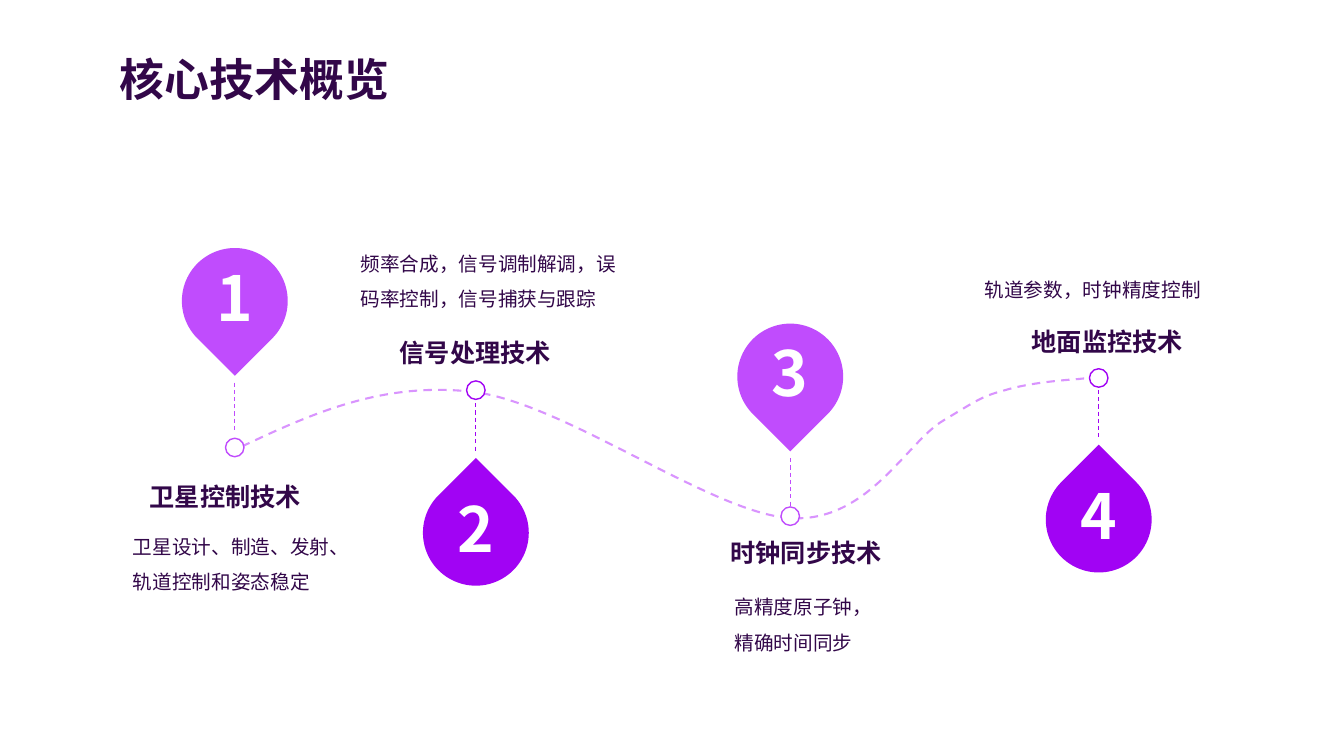
from dataclasses import dataclass

import lxml.etree
import pptx
import pptx.dml.color
import pptx.enum.dml
import pptx.enum.shapes
import pptx.enum.text
import pptx.oxml.ns
import pptx.util

WIDTH, HEIGHT = pptx.util.Inches(13.333), pptx.util.Inches(7.5)
UNIT = HEIGHT / 36  # square grid: 64 columns by 36 rows
FONT = "Noto Sans CJK SC"
INK = {"text": "320749", "light": "C04CFD", "deep": "A103F4",
       "path": "D994FE", "white": "FFFFFF"}
PIN, RING, DIGIT = 5.04, 0.88, 3.79
REACH, STEM = 3.89, 2.28  # pin centre to stem, and stem length
HEAD_W, HEAD_H, NOTE_H = 13.2, 1.87, 5.28

ALIGN = pptx.enum.text.PP_ALIGN
ANCHOR = pptx.enum.text.MSO_ANCHOR
SHAPE = pptx.enum.shapes.MSO_SHAPE


@dataclass
class Step:
    num: str
    col: float
    ring: float
    pin: float
    head: str
    head_at: tuple[float, float]
    note: str
    note_at: tuple[float, float]
    note_w: float

    @property
    def above(self) -> bool:
        return self.pin < self.ring

    @property
    def ink(self) -> str:
        return "light" if self.above else "deep"


STEPS = [
    Step("1", 11.18, 21.31, 14.33, "卫星控制技术", (4.13, 22.56),
         "卫星设计、制造、发射、轨道控制和姿态稳定", (5.86, 24.67), 10.66),
    Step("2", 22.66, 18.58, 25.37, "信号处理技术", (16.03, 15.7),
         "频率合成，信号调制解调，误码率控制，信号捕获与跟踪", (16.7, 11.18), 13.58),
    Step("3", 37.63, 24.58, 17.93, "时钟同步技术", (31.78, 25.25),
         "高精度原子钟，精确时间同步", (34.51, 27.55), 7.1),
    Step("4", 52.32, 18, 24.74, "地面监控技术", (46.13, 15.17),
         "轨道参数，时钟精度控制", (46.42, 12.43), 11.57),
]

# Start point, then two control points and an end point for each curve
TRAIL = [
    (11.52, 21.26),
    (14.88, 19.68), (18.29, 18.14), (22.61, 18.67),
    (26.98, 19.25), (33.89, 24.43), (37.63, 24.67),
    (41.33, 24.91), (43.2, 21.02), (44.93, 20.02),
    (46.61, 19.01), (46.8, 18.86), (47.86, 18.58),
    (48.96, 18.24), (50.59, 18.1), (51.36, 18.05),
    (52.13, 17.95), (52.32, 18.05), (52.46, 18.1),
]


def grid(*vals: float) -> list[int]:
    """Turn grid units into EMU."""
    return [round(val * UNIT) for val in vals]


def tint(ink: str) -> pptx.dml.color.RGBColor:
    return pptx.dml.color.RGBColor.from_string(INK[ink])


def stroke(line, ink: str, size: float, dash: bool = False) -> None:
    line.color.rgb = tint(ink)
    line.width = pptx.util.Pt(size)
    if dash:
        line.dash_style = pptx.enum.dml.MSO_LINE.DASH


def write(box, text: str, *, size: float, ink: str = "text", bold: bool = False,
          align=ALIGN.LEFT, anchor=ANCHOR.TOP, space: float = 1.2) -> None:
    frame = box.text_frame
    frame.word_wrap = True
    frame.auto_size = pptx.enum.text.MSO_AUTO_SIZE.NONE
    frame.vertical_anchor = anchor
    para = frame.paragraphs[0]
    para.alignment = align
    para.line_spacing = space
    run = para.add_run()
    run.text = text
    run.font.name = FONT
    run.font.size = pptx.util.Pt(size)
    run.font.bold = bold
    run.font.color.rgb = tint(ink)
    east = lxml.etree.SubElement(run._r.get_or_add_rPr(), pptx.oxml.ns.qn("a:ea"))
    east.set("typeface", FONT)


def disc(shapes, kind, col: float, row: float, size: float, ink: str):
    """Add a filled shape centred on a grid point."""
    item = shapes.add_shape(kind, *grid(col - size / 2, row - size / 2, size, size))
    item.shadow.inherit = False
    item.fill.solid()
    item.fill.fore_color.rgb = tint(ink)
    item.line.fill.background()
    return item


def trail(shapes) -> None:
    """Draw the dashed path, with each three segments turned into one curve."""
    pts = [grid(*pt) for pt in TRAIL]
    form = shapes.build_freeform(*pts[0])
    form.add_line_segments(pts[1:], close=False)
    item = form.convert_to_shape()
    item.shadow.inherit = False
    item.fill.background()
    stroke(item.line, "path", 1.5, dash=True)
    qn = pptx.oxml.ns.qn
    legs = list(item._element.iter(qn("a:lnTo")))
    for i in range(0, len(legs), 3):
        curve = lxml.etree.SubElement(legs[i].getparent(), qn("a:cubicBezTo"))
        for leg in legs[i:i + 3]:
            curve.append(leg[0])
            leg.getparent().remove(leg)


def stem(shapes, step: Step) -> None:
    side = 1 if step.above else -1
    near = step.pin + side * REACH
    ends = sorted([near, near + side * STEM])
    line = shapes.add_connector(pptx.enum.shapes.MSO_CONNECTOR.STRAIGHT,
                                *grid(step.col, ends[0], step.col, ends[1]))
    stroke(line.line, step.ink, 0.75, dash=True)
    lxml.etree.SubElement(line._element.spPr, pptx.oxml.ns.qn("a:effectLst"))


def draw(shapes, step: Step) -> None:
    pin = disc(shapes, SHAPE.TEAR, step.col, step.pin, PIN, step.ink)
    pin.rotation = 135 if step.above else 315
    stem(shapes, step)
    ring = disc(shapes, SHAPE.OVAL, step.col, step.ring, RING, "white")
    stroke(ring.line, step.ink, 1)
    half = DIGIT / 2
    num = shapes.add_textbox(*grid(step.col - half, step.pin - half, DIGIT, DIGIT))
    write(num, step.num, size=44.4, ink="white", bold=True,
          align=ALIGN.CENTER, anchor=ANCHOR.MIDDLE, space=0.9)
    note = shapes.add_textbox(*grid(*step.note_at, step.note_w, NOTE_H))
    write(note, step.note, size=14, space=1.5)
    head = shapes.add_textbox(*grid(*step.head_at, HEAD_W, HEAD_H))
    write(head, step.head, size=18, bold=True,
          align=ALIGN.CENTER, anchor=ANCHOR.MIDDLE)


def main() -> None:
    deck = pptx.Presentation()
    deck.slide_width, deck.slide_height = WIDTH, HEIGHT
    slide = deck.slides.add_slide(deck.slide_layouts.get_by_name("Title Only"))
    title = slide.shapes.title
    title.left, title.top, title.width, title.height = grid(5.23, 1.58, 55, 3.79)
    write(title, "核心技术概览", size=32, bold=True, anchor=ANCHOR.MIDDLE)
    trail(slide.shapes)
    for step in STEPS:
        draw(slide.shapes, step)
    deck.save("out.pptx")


if __name__ == "__main__":
    main()
